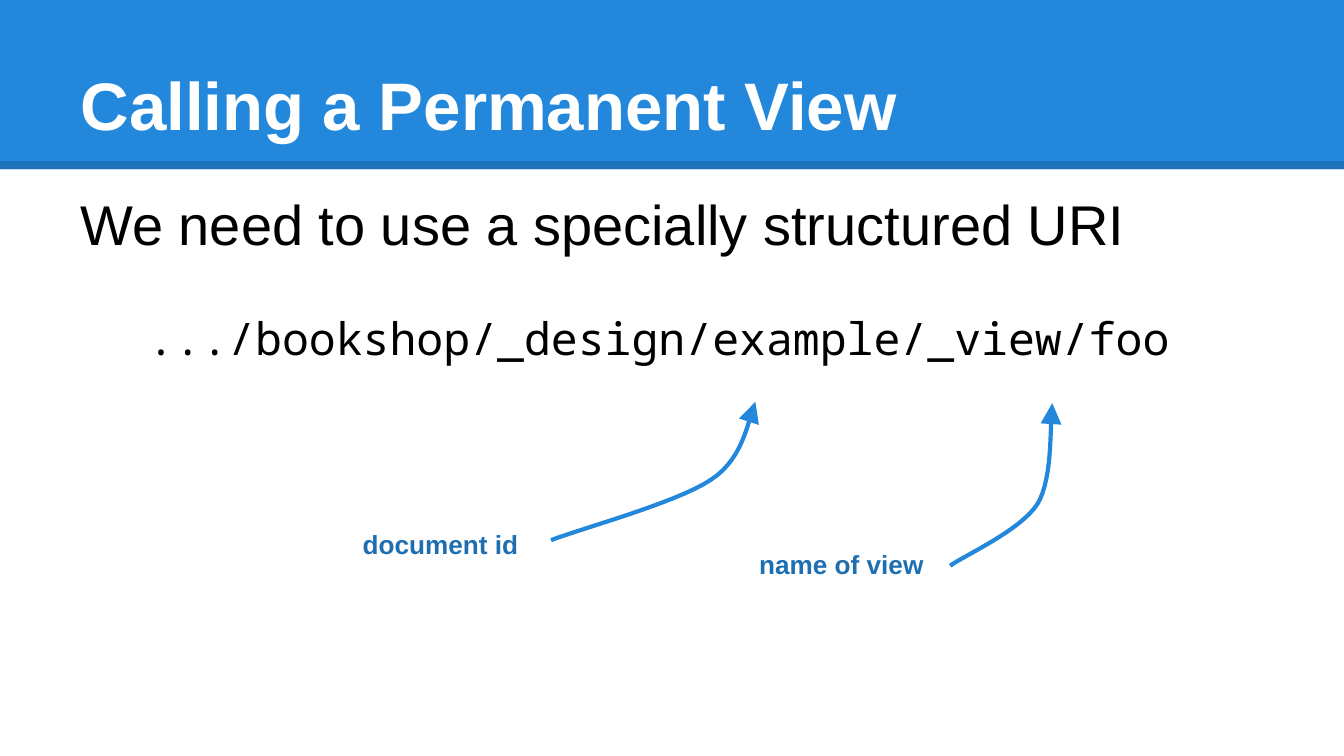
from pptx import Presentation
from pptx.dml.color import RGBColor
from pptx.enum.shapes import MSO_CONNECTOR, MSO_SHAPE
from pptx.enum.text import MSO_ANCHOR, MSO_AUTO_SIZE, PP_ALIGN
from pptx.oxml.ns import qn
from pptx.util import Inches, Pt
from lxml import etree

BLUE = RGBColor(0x23, 0x88, 0xDB)
NAVY = RGBColor(0x1D, 0x6F, 0xB2)
BLACK = RGBColor(0, 0, 0)
WHITE = RGBColor(255, 255, 255)
RECT, LINE = MSO_SHAPE.RECTANGLE, MSO_CONNECTOR.STRAIGHT
TOP, BOTTOM = MSO_ANCHOR.TOP, MSO_ANCHOR.BOTTOM
FIXED, LEFT = MSO_AUTO_SIZE.NONE, PP_ALIGN.LEFT
WIDTH = Inches(10)
STEPS = 16


def set_frame(shape, box, anchor=TOP):
    """Place a text shape and set its margins; return its text frame."""
    shape.left, shape.top, shape.width, shape.height = map(Inches, box)
    frame = shape.text_frame
    frame.word_wrap, frame.auto_size = True, FIXED
    frame.vertical_anchor = anchor
    frame.margin_left = frame.margin_right = Inches(0.1)
    frame.margin_top = frame.margin_bottom = Inches(0.1)
    return frame


def write(para, text, size, color, font="Arial", bold=False, before=0, indent=0):
    """Write one formatted paragraph."""
    para.alignment, para.space_before = LEFT, Pt(before)
    props = para._p.get_or_add_pPr()
    props.set("marL", str(Inches(indent)))
    props.set("indent", "0")
    run = para.add_run()
    run.text = text
    run.font.name, run.font.size, run.font.bold = font, Pt(size), bold
    run.font.color.rgb = color


def add_box(slide, box):
    """Add a text box and return its text frame."""
    return set_frame(slide.shapes.add_textbox(0, 0, 0, 0), box)


def add_band(slide):
    """Draw the title band with its translucent lower edge."""
    band = slide.shapes.add_shape(RECT, 0, 0, WIDTH, Inches(1.26))
    band.shadow.inherit = False
    band.fill.solid()
    band.fill.fore_color.rgb = BLUE
    band.line.fill.background()
    edge = slide.shapes.add_connector(LINE, 0, Inches(1.23), WIDTH, Inches(1.23))
    edge.line.width, edge.line.color.rgb = Pt(4.5), BLACK
    props = edge._element.spPr
    etree.SubElement(props.find(".//" + qn("a:srgbClr")), qn("a:alpha"), val="15000")
    etree.SubElement(props, qn("a:effectLst"))
    for shape in (edge, band):
        slide.shapes._spTree.insert(2, shape._element)


def bend(ends, t):
    """Return the point at t on a cubic curve."""
    parts = ((1 - t) ** 3, 3 * t * (1 - t) ** 2, 3 * t * t * (1 - t), t ** 3)
    return tuple(Inches(sum(p * w for p, w in zip(axis, parts))) for axis in zip(*ends))


def add_arrow(slide, knots):
    """Draw a curved arrow through chained cubic segments."""
    points = [bend(knots[i:i + 4], step / STEPS)
              for i in range(0, len(knots) - 1, 3) for step in range(1, STEPS + 1)]
    path = slide.shapes.build_freeform(*map(Inches, knots[0]))
    path.add_line_segments(points, close=False)
    arrow = path.convert_to_shape()
    arrow.shadow.inherit = False
    arrow.fill.background()
    arrow.line.width, arrow.line.color.rgb = Pt(2.25), BLUE
    etree.SubElement(arrow.line._get_or_add_ln(), qn("a:tailEnd"),
                     type="triangle", w="lg", len="lg")


def main():
    """Build the slide and save it."""
    deck = Presentation()
    deck.slide_width, deck.slide_height = WIDTH, WIDTH * 9 // 16
    slide = deck.slides.add_slide(deck.slide_layouts[5])
    add_band(slide)
    title = set_frame(slide.shapes.title, (0.5, 0.23, 9, 0.94), anchor=BOTTOM)
    write(title.paragraphs[0], "Calling a Permanent View", 36, WHITE, bold=True)

    body = add_box(slide, (0.5, 1.31, 9, 1.83))
    write(body.paragraphs[0], "We need to use a specially structured URI", 30, BLACK)
    write(body.add_paragraph(), ".../bookshop/_design/example/_view/foo", 24, BLACK,
          font="Noto Sans Mono", before=29, indent=0.5)

    notes = (
        ("name of view", 5.55, 3.98,
         ((7.07, 4.21), (7.18, 4.13), (7.59, 3.95), (7.72, 3.75),
          (7.84, 3.55), (7.81, 3.13), (7.83, 3))),
        ("document id", 2.6, 3.83,
         ((4.1, 4.02), (4.3, 3.94), (5.04, 3.74), (5.29, 3.57),
          (5.55, 3.4), (5.57, 3.09), (5.62, 2.99))),
    )
    for text, left, top, knots in notes:
        label = add_box(slide, (left, top, 1.77, 0.5))
        write(label.paragraphs[0], text, 14, NAVY, bold=True)
        add_arrow(slide, knots)
    deck.save("out.pptx")


if __name__ == "__main__":
    main()
